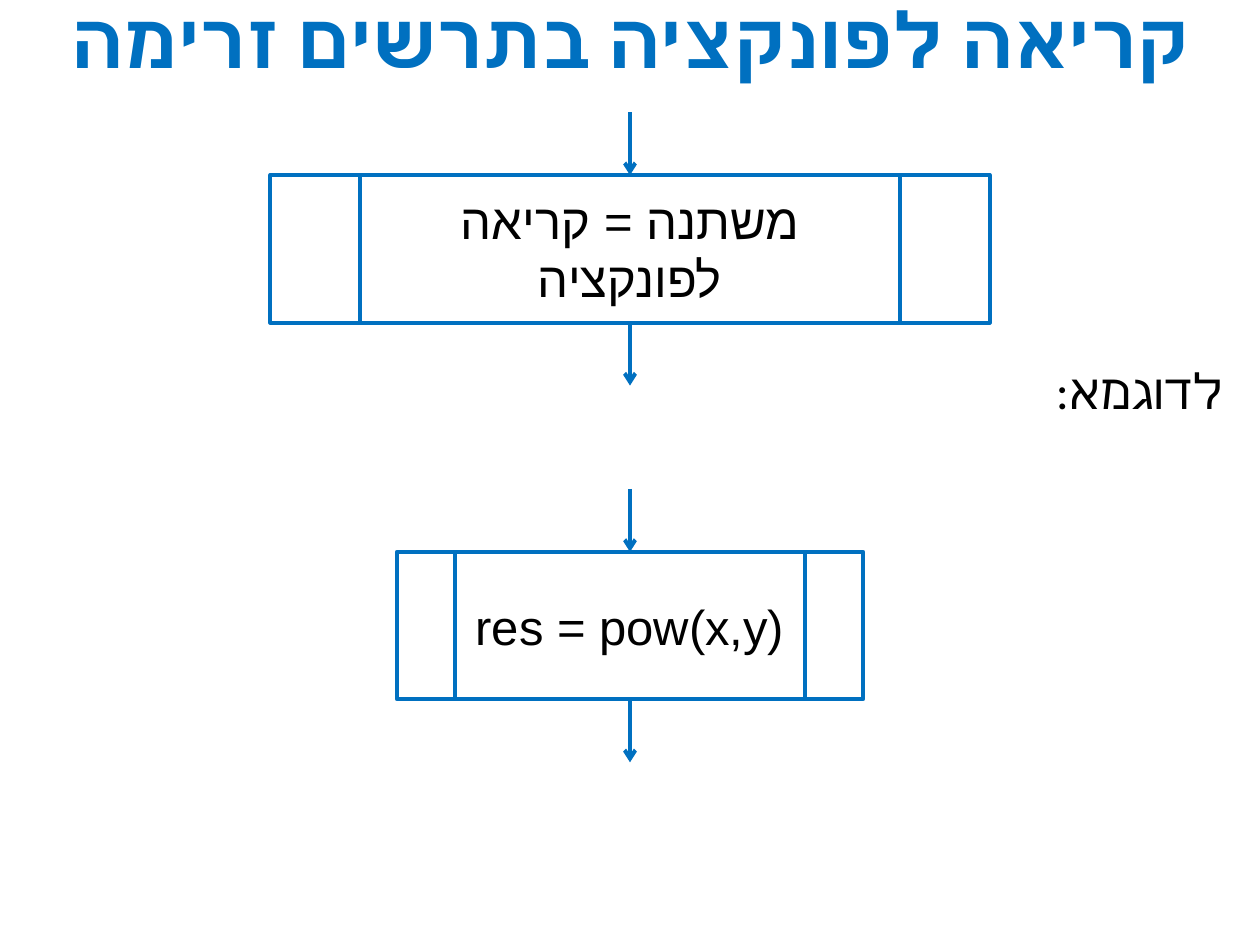
import pptx
import pptx.util
import pptx.dml.color
import pptx.enum.shapes
import pptx.enum.text
import pptx.oxml.ns
import lxml.etree

Inches = pptx.util.Inches
Pt = pptx.util.Pt
ALIGN = pptx.enum.text.PP_ALIGN
ANCHOR = pptx.enum.text.MSO_ANCHOR

COLORS = {"blue": "0070C0", "text": "000000"}
TITLE = "קריאה לפונקציה בתרשים זרימה"
EXAMPLE = "לדוגמא:"
PROCESSES = [
    ("משתנה = קריאה לפונקציה", 1.39, 5.71),
    ("res = pow(x,y)", 4.38, 3.7),
]
CENTER_X = 5
PROCESS_HEIGHT = 1.17
ARROW_LENGTH = 0.5
TEXT_LEFT, TEXT_WIDTH = 0.21, 9.59


def rgb(name):
    return pptx.dml.color.RGBColor.from_string(COLORS[name])


def add_element(parent, tag, **attributes):
    element = lxml.etree.SubElement(parent, pptx.oxml.ns.qn(tag))
    for key, value in attributes.items():
        element.set(key, value)


def write(frame, text, size, font, color, align, bold=False, rtl=False):
    frame.word_wrap = True
    frame.text = text
    paragraph = frame.paragraphs[0]
    paragraph.alignment = align
    if rtl:
        paragraph._p.get_or_add_pPr().set("rtl", "1")
    run = paragraph.runs[0]
    run.font.size = Pt(size)
    run.font.bold = bold
    run.font.color.rgb = rgb(color)
    run.font.name = font
    add_element(run._r.get_or_add_rPr(), "a:cs", typeface=font)


def add_heading(slide, top, height, *style, **options):
    box = slide.shapes.add_textbox(
        Inches(TEXT_LEFT), Inches(top), Inches(TEXT_WIDTH), Inches(height))
    write(box.text_frame, *style, rtl=True, **options)
    return box.text_frame


def add_process(slide, text, top, width):
    process = slide.shapes.add_shape(
        pptx.enum.shapes.MSO_SHAPE.FLOWCHART_PREDEFINED_PROCESS,
        Inches(CENTER_X - width / 2), Inches(top), Inches(width), Inches(PROCESS_HEIGHT))
    process.shadow.inherit = False
    process.fill.background()
    process.line.color.rgb = rgb("blue")
    process.line.width = Pt(2.25)
    process.text_frame.vertical_anchor = ANCHOR.MIDDLE
    write(process.text_frame, text, 28, "Arial", "text", ALIGN.CENTER)
    return process


def add_arrow(slide, top):
    arrow = slide.shapes.add_connector(
        pptx.enum.shapes.MSO_CONNECTOR.STRAIGHT,
        Inches(CENTER_X), Inches(top), Inches(CENTER_X), Inches(top + ARROW_LENGTH))
    arrow.line.color.rgb = rgb("blue")
    arrow.line.width = Pt(2.25)
    add_element(arrow.line._get_or_add_ln(), "a:tailEnd", type="arrow")
    add_element(arrow._element.spPr, "a:effectLst")
    return arrow


def main():
    deck = pptx.Presentation()
    deck.slide_width, deck.slide_height = Inches(10), Inches(7.5)
    slide = deck.slides.add_slide(deck.slide_layouts[6])

    title = add_heading(slide, -0.11, 0.82, TITLE, 44, "Calibri", "blue",
                        ALIGN.CENTER, bold=True)
    title.vertical_anchor = ANCHOR.MIDDLE
    title.margin_left = title.margin_right = Inches(0.07)
    title.margin_top = title.margin_bottom = Inches(0.04)

    example = add_heading(slide, 2.81, 0.57, EXAMPLE, 28, "Calibri", "text", ALIGN.RIGHT)
    example.paragraphs[0].space_after = Pt(6)

    for text, top, width in PROCESSES:
        process = add_process(slide, text, top, width)
        add_arrow(slide, top - ARROW_LENGTH).end_connect(process, 0)
        add_arrow(slide, top + PROCESS_HEIGHT).begin_connect(process, 2)

    deck.save("out.pptx")


if __name__ == "__main__":
    main()
